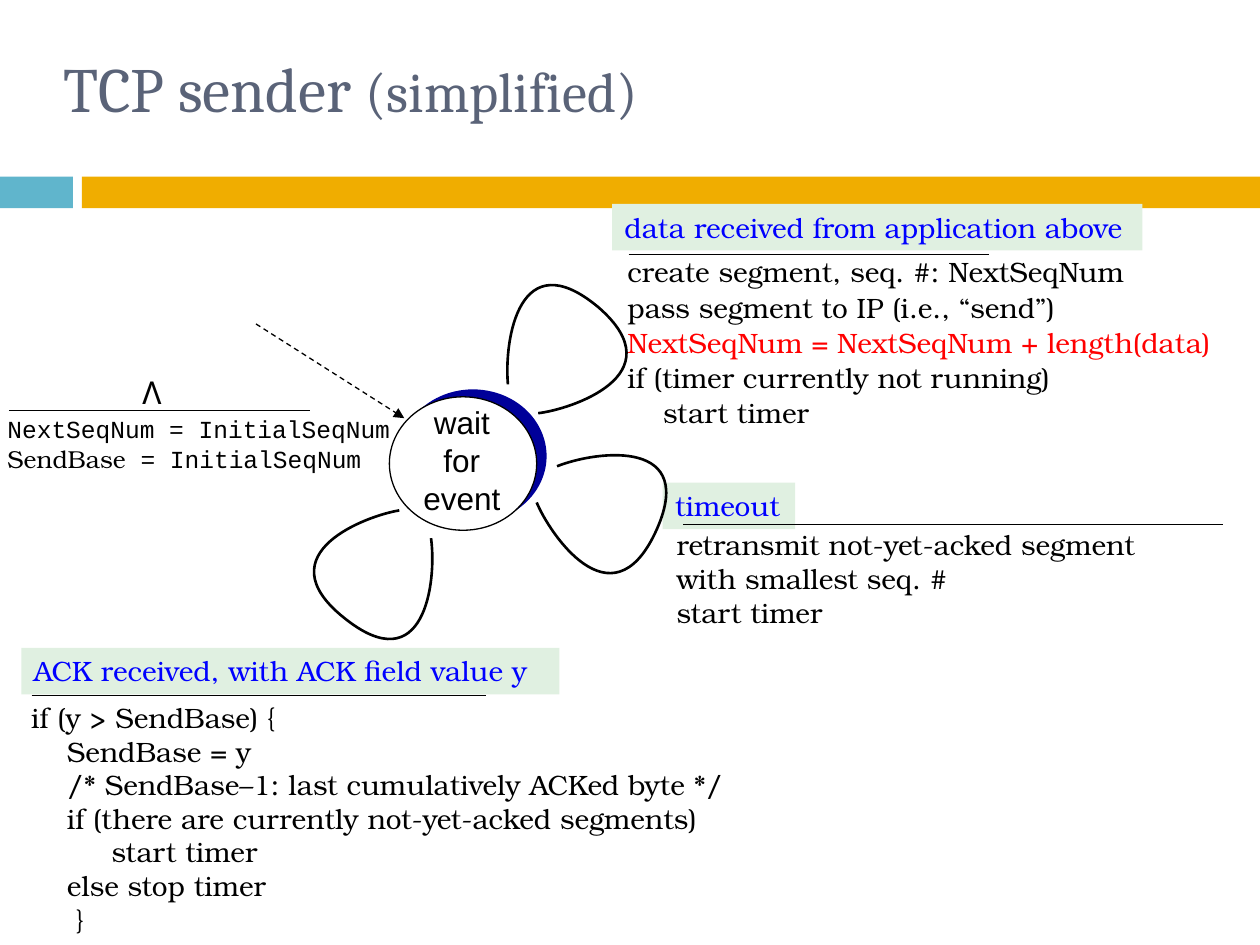
from lxml.etree import SubElement
from pptx import Presentation
from pptx.dml.color import RGBColor as RGB
from pptx.enum.dml import MSO_LINE
from pptx.enum.shapes import MSO_CONNECTOR, MSO_SHAPE
from pptx.enum.text import MSO_ANCHOR, PP_ALIGN
from pptx.oxml.ns import qn
from pptx.util import Cm, Pt

COLORS = {
    "teal": "60B5CC", "amber": "F0AD00", "navy": "000099", "white": "FFFFFF",
    "black": "000000", "slate": "5A6378", "mint": "E0F0E1",
    "blue": "0000FF", "red": "FF0000",
}
SERIF, MONO = "TeX Gyre Bonum", "Courier New"

prs = Presentation()
prs.slide_width, prs.slide_height = Cm(25.4), Cm(19.05)
s = prs.slides.add_slide(prs.slide_layouts[6])


def add_text(x, y, w, h, lines, font=SERIF, size=16, color="black", fill=None,
             align=PP_ALIGN.LEFT, anchor=MSO_ANCHOR.TOP, spacing=None):
    sp = s.shapes.add_textbox(Cm(x), Cm(y), Cm(w), Cm(h))
    if fill:
        sp.fill.solid()
        sp.fill.fore_color.rgb = RGB.from_string(COLORS[fill])
    tf = sp.text_frame
    tf.word_wrap = True
    tf.vertical_anchor = anchor
    for i, line in enumerate(lines):
        p = tf.paragraphs[0] if i == 0 else tf.add_paragraph()
        p.alignment = align
        if spacing:
            p.line_spacing = spacing
        for text, style in [(line, {})] if isinstance(line, str) else line:
            r = p.add_run()
            r.text = text
            r.font.name = style.get("font", font)
            r.font.size = Pt(style.get("size", size))
            r.font.color.rgb = RGB.from_string(COLORS[style.get("color", color)])


def add_line(x1, y1, x2, y2):
    c = s.shapes.add_connector(MSO_CONNECTOR.STRAIGHT, Cm(x1), Cm(y1), Cm(x2), Cm(y2))
    c.line.color.rgb = RGB.from_string(COLORS["black"])
    c.line.width = Pt(0.75)
    SubElement(c._element.spPr, qn("a:effectLst"))
    return c


for kind, x, y, w, h, fill, outlined in [
    (MSO_SHAPE.RECTANGLE, 0, 3.56, 1.47, 0.64, "teal", False),
    (MSO_SHAPE.RECTANGLE, 1.65, 3.56, 23.75, 0.64, "amber", False),
    (MSO_SHAPE.OVAL, 8.05, 7.85, 2.97, 2.69, "navy", False),
    (MSO_SHAPE.OVAL, 7.85, 8, 2.97, 2.69, "white", True),
]:
    sp = s.shapes.add_shape(kind, Cm(x), Cm(y), Cm(w), Cm(h))
    sp.shadow.inherit = False
    sp.fill.solid()
    sp.fill.fore_color.rgb = RGB.from_string(COLORS[fill])
    if outlined:
        sp.line.color.rgb = RGB.from_string(COLORS["black"])
        sp.line.width = Pt(0.75)
    else:
        sp.line.fill.background()

add_text(1.04, 0.51, 21.49, 2.49, [[("TCP sender ", {}), ("(simplified)", {"size": 32})]],
         font="Cambria", size=36, color="slate", anchor=MSO_ANCHOR.MIDDLE)
add_text(8.04, 8, 2.54, 2.54, ["wait", "for", "event"],
         font="Arial", size=18, align=PP_ALIGN.CENTER)

start_arrow = add_line(5.16, 6.53, 8.15, 8.43)
start_arrow.line.dash_style = MSO_LINE.DASH
SubElement(start_arrow.line._get_or_add_ln(), qn("a:tailEnd"), type="triangle")

add_text(-0.1, 8.23, 8.28, 1.45, [
    "NextSeqNum = InitialSeqNum",
    [("SendBase", {"font": SERIF}), (" = InitialSeqNum", {})],
], font=MONO, size=14)
add_line(0.18, 8.28, 6.25, 8.28)
add_text(2.62, 7.39, 0.94, 1.02, ["Λ"], font="Noto Sans", size=18)

data_actions = [
    "create segment, seq. #: NextSeqNum",
    "pass segment to IP (i.e., “send”)",
    [("NextSeqNum = NextSeqNum + length(data)", {"color": "red"})],
    "if (timer currently not running)",
    "    start timer",
]
timeout_actions = ["retransmit not-yet-acked segment", "with smallest seq. #", "start timer"]
ack_actions = [
    "if (y > SendBase) {",
    "    SendBase = y",
    "    /* SendBase–1: last cumulatively ACKed byte */",
    "    if (there are currently not-yet-acked segments)",
    "         start timer",
    "    else stop timer",
    "     }",
]
for event, label_box, actions, action_box, rule, spacing in [
    ("data received from application above", (12.34, 4.11, 10.69, 0.94),
     data_actions, (12.4, 4.98, 12.65, 4.52), (12.67, 5.13, 19.94, 5.13), 1.05),
    ("timeout", (13.36, 9.73, 2.67, 0.94),
     timeout_actions, (13.39, 10.52, 12.01, 2.31), (13.77, 10.57, 24.66, 10.57), None),
    ("ACK received, with ACK field value y", (0.43, 13.06, 10.85, 0.94),
     ack_actions, (0.38, 14, 14.73, 5.05), (0.64, 14.02, 9.8, 14.02), None),
]:
    add_text(*action_box, actions, spacing=spacing)
    add_text(*label_box, [event], color="blue", fill="mint")
    add_line(*rule)

for loop in [
    [(10.24, 7.75), (10.16, 6.86), (10.46, 4.85), (12.07, 6.2),
     (13.64, 7.57), (11.48, 8.26), (10.85, 8.33)],
    [(11.23, 9.4), (12.07, 9.07), (14.1, 8.84), (13.21, 10.74),
     (12.32, 12.62), (11.07, 10.74), (10.82, 10.13)],
    [(8.69, 10.85), (8.81, 11.73), (8.56, 13.77), (6.93, 12.45),
     (5.31, 11.15), (7.42, 10.39), (8.05, 10.29)],
]:
    points = [(Cm(x), Cm(y)) for x, y in loop]
    builder = s.shapes.build_freeform(*points[0])
    builder.add_line_segments(points[1:], close=False)
    sp = builder.convert_to_shape()
    sp.shadow.inherit = False
    sp.fill.background()
    sp.line.color.rgb = RGB.from_string(COLORS["black"])
    sp.line.width = Pt(1.5)
    outline = next(sp._element.iter(qn("a:path")))
    segments = outline.findall(qn("a:lnTo"))
    for i in range(0, len(segments), 3):
        curve = SubElement(outline, qn("a:cubicBezTo"))
        for segment in segments[i:i + 3]:
            curve.append(segment[0])
            outline.remove(segment)

prs.save("out.pptx")
